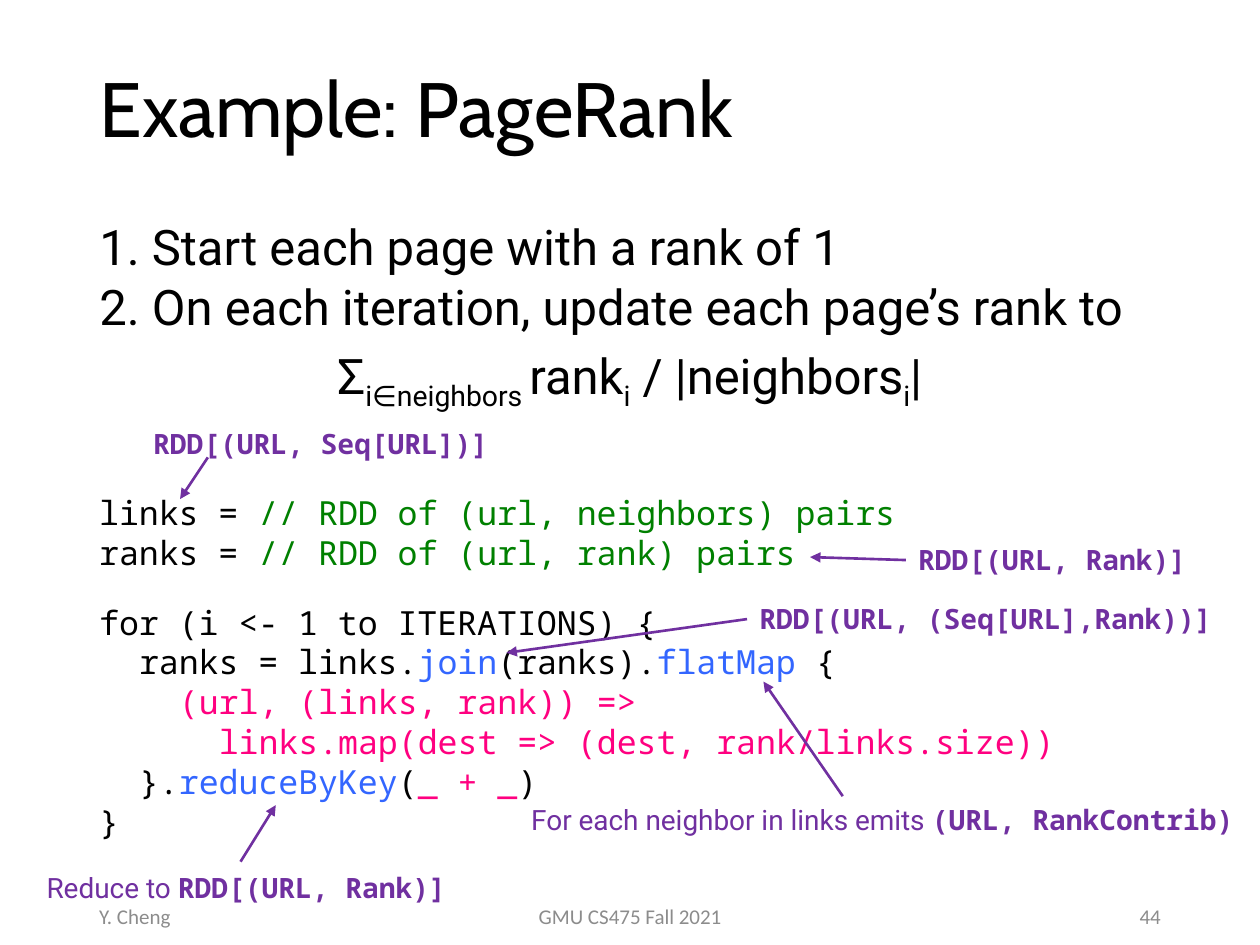
from lxml.etree import SubElement
from pptx import Presentation
from pptx.dml.color import RGBColor
from pptx.enum.shapes import MSO_CONNECTOR
from pptx.enum.text import MSO_ANCHOR, MSO_AUTO_SIZE, PP_ALIGN
from pptx.oxml.ns import qn
from pptx.util import Cm, Pt

COLORS = {"text": "000000", "comment": "008000", "call": "3366FF",
          "closure": "FF0080", "note": "7030A0", "footer": "8C8C8C"}
MONO, SANS, HEAD, FOOT = "Noto Sans Mono", "Roboto", "Cabin", "Calibri"


class SlideBuilder:
    def __init__(self, prs):
        self.s = prs.slides.add_slide(prs.slide_layouts[1])

    def style(self, font, size=None, name=None, color=None, bold=None):
        if size:
            font.size = Pt(size)
        if name:
            font.name = name
        if color:
            font.color.rgb = RGBColor.from_string(COLORS[color])
        if bold is not None:
            font.bold = bold

    def add_runs(self, p, runs, **font):
        """Fill a paragraph; each run is a string or (string, own style)."""
        self.style(p.font, **font)
        for run in runs:
            text, own = (run, {}) if isinstance(run, str) else run
            r = p.add_run()
            r.text = text
            own = dict(own)
            if own.pop("sub", False):
                r.font._element.set("baseline", "-25000")
            self.style(r.font, **own)

    def place(self, sp, x, y, w, h):
        sp.left, sp.top, sp.width, sp.height = Cm(x), Cm(y), Cm(w), Cm(h)

    def title(self, text, box):
        sp = self.s.shapes.title
        self.place(sp, *box)
        tf = sp.text_frame
        tf.auto_size = MSO_AUTO_SIZE.NONE
        tf.vertical_anchor = MSO_ANCHOR.MIDDLE
        p = tf.paragraphs[0]
        p.alignment, p.line_spacing = PP_ALIGN.LEFT, 0.9
        self.add_runs(p, [text], size=44, name=HEAD, color="text")

    def body(self, rows, box):
        sp = self.s.placeholders[1]
        self.place(sp, *box)
        tf = sp.text_frame
        tf.auto_size = MSO_AUTO_SIZE.NONE
        for i, (before, align, runs) in enumerate(rows):
            p = tf.add_paragraph() if i else tf.paragraphs[0]
            p.alignment, p.line_spacing, p.space_before = align, 0.9, Pt(before)
            self.add_runs(p, runs, size=28, name=SANS, color="text")
            pPr = p._p.get_or_add_pPr()
            pPr.set("marL", "0")
            pPr.set("indent", "0")
            pPr.insert_element_before(
                pPr.makeelement(qn("a:buNone"), {}), "a:tabLst", "a:defRPr")

    def textbox(self, box, wrap=True):
        sp = self.s.shapes.add_textbox(*map(Cm, box))
        sp.text_frame.word_wrap = wrap
        return sp

    def code(self, lines, box):
        tf = self.textbox(box).text_frame
        for i, (level, before, runs) in enumerate(lines):
            p = tf.add_paragraph() if i else tf.paragraphs[0]
            p.space_before = Pt(before)
            # One level is two characters wide
            p._p.get_or_add_pPr().set("marL", str(Pt(22.8) * level))
            self.add_runs(p, runs, size=19, name=MONO, color="text")

    def note(self, x, y, w, typed, lead=None):
        sp = self.textbox((x, y, w, 0.94), wrap=False)
        tf = sp.text_frame
        tf.auto_size = MSO_AUTO_SIZE.SHAPE_TO_FIT_TEXT
        p = tf.paragraphs[0]
        if lead:
            runs = [(lead, {"name": SANS}), (typed, {"name": MONO, "bold": True})]
            self.add_runs(p, runs, size=16, color="note")
        else:
            self.add_runs(p, [typed], size=16, name=MONO, color="note", bold=True)
        return sp

    def arrow(self, start, end, source=None):
        c = self.s.shapes.add_connector(
            MSO_CONNECTOR.STRAIGHT, *map(Cm, start + end))
        if source is not None:
            c.begin_connect(source, 1)
        c.line.color.rgb = RGBColor.from_string(COLORS["note"])
        c.line.width = Pt(1.5)
        SubElement(c.line._get_or_add_ln(), qn("a:tailEnd"), type="triangle")
        SubElement(c._element.spPr, qn("a:effectLst"))

    def footer(self, text, x, w, align):
        tf = self.textbox((x, 17.96, w, 1.02)).text_frame
        tf.vertical_anchor = MSO_ANCHOR.MIDDLE
        p = tf.paragraphs[0]
        p.alignment = align
        self.add_runs(p, [text], size=12, name=FOOT, color="footer")


def main():
    prs = Presentation()
    prs.slide_width, prs.slide_height = Cm(25.4), Cm(19.05)
    b = SlideBuilder(prs)

    # Title and algorithm steps
    sub = {"sub": True}
    b.title("Example: PageRank", (1.75, 0.43, 21.89, 3.68))
    b.body([
        (10, PP_ALIGN.LEFT, ["1. Start each page with a rank of 1"]),
        (4, PP_ALIGN.LEFT, ["2. On each iteration, update each page’s rank to"]),
        (6, PP_ALIGN.CENTER, [
            "Σ", ("i", sub), ("∈", {"sub": True, "name": FOOT}),
            ("neighbors ", sub), "rank", ("i", sub), " / |neighbors",
            ("i", sub), "|"]),
    ], (1.75, 4.37, 21.89, 13.31))

    # Code: indent level, space before, runs
    comment, call, closure = ({"color": c} for c in ("comment", "call", "closure"))
    b.code([
        (0, 0, ["links = ", ("// RDD of (url, neighbors) pairs", comment)]),
        (0, 0, ["ranks = ", ("// RDD of (url, rank) pairs", comment)]),
        (0, 17, ["for (i <- 1 to ITERATIONS) {"]),
        (1, 0, ["ranks = links.", ("join", call), "(ranks).",
                ("flatMap", call), " {"]),
        (2, 0, [("(url, (links, rank)) =>", closure)]),
        (3, 0, [("links.map(dest => (dest, rank/links.size))", closure)]),
        (1, 0, ["}.", ("reduceByKey", call), "(", ("_ + _", closure), ")"]),
        (0, 0, ["}"]),
    ], (1.75, 9.8, 23.24, 7.34))

    # Type notes
    b.note(2.84, 8.48, 7.37, "RDD[(URL, Seq[URL])]")
    ranks = b.note(18.26, 10.82, 5.99, "RDD[(URL, Rank)]")
    joined = b.note(15.06, 12.01, 9.78, "RDD[(URL, (Seq[URL],Rank))]")
    b.note(10.46, 16.05, 14.94, "(URL, RankContrib)",
           "For each neighbor in links emits ")
    b.note(0.69, 17.42, 8.79, "RDD[(URL, Rank)]", "Reduce to ")

    # Arrows from the notes to the code
    b.arrow((4.19, 9.22), (3.63, 10.06))
    b.arrow((18.26, 11.28), (16.33, 11.23), ranks)
    b.arrow((15.06, 12.47), (10.21, 13.16), joined)
    b.arrow((16.99, 16.05), (15.39, 13.74))
    b.arrow((4.85, 17.37), (5.56, 16.23))

    # Footer
    b.footer("Y. Cheng", 1.75, 5.72, PP_ALIGN.LEFT)
    b.footer("GMU CS475 Fall 2021", 8.41, 8.59, PP_ALIGN.CENTER)
    b.footer("44", 17.93, 5.72, PP_ALIGN.RIGHT)

    prs.save("out.pptx")


if __name__ == "__main__":
    main()
